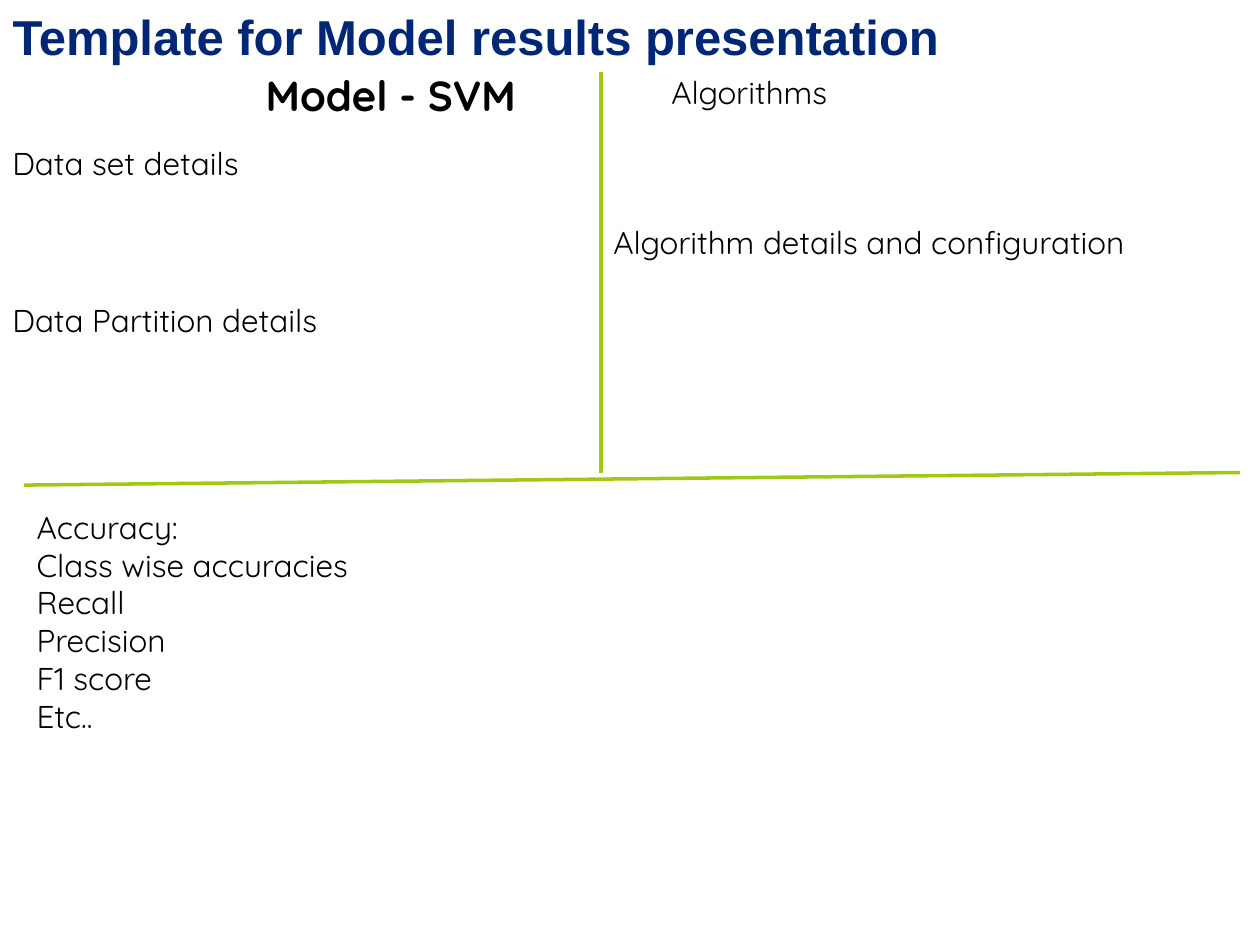
"""Build a one-slide template for presenting model results."""
from dataclasses import dataclass

from lxml.etree import SubElement
from pptx import Presentation
from pptx.dml.color import RGBColor
from pptx.enum.shapes import MSO_CONNECTOR
from pptx.enum.text import MSO_ANCHOR, MSO_AUTO_SIZE, PP_ALIGN
from pptx.oxml.ns import qn
from pptx.shapes.base import BaseShape
from pptx.slide import Slide
from pptx.util import Inches, Pt

COLORS = {"heading": "002776", "text": "000000", "divider": "A2C816"}


@dataclass(frozen=True)
class Label:
    text: str
    left: float
    top: float
    width: float
    height: float = 0.4
    size: int = 18
    bold: bool = False


@dataclass(frozen=True)
class Divider:
    start: tuple[float, float]
    end: tuple[float, float]


LABELS = (
    Label("Data set details", 0, 1.09, 2.16),
    Label("Data Partition details", 0, 2.34, 2.82),
    Label("Algorithms", 5.23, 0.53, 1.66),
    Label("Algorithm details and configuration", 4.77, 1.72, 5.23),
    Label("Model - SVM", 2.01, 0.5, 2.65, height=0.5, size=24, bold=True),
)
DIVIDERS = (
    Divider((4.77, 0.57), (4.77, 3.75)),
    Divider((0.19, 3.85), (9.84, 3.75)),
)
METRICS = ("Accuracy:", "Class wise accuracies", "Recall", "Precision", "F1 score", "Etc..")


def place(shape: BaseShape, left: float, top: float, width: float, height: float) -> None:
    shape.left, shape.top = Inches(left), Inches(top)
    shape.width, shape.height = Inches(width), Inches(height)


def write(shape: BaseShape, *lines: str, size: int = 18, font: str = "Quicksand",
          color: str = "text", bold: bool = False) -> None:
    frame = shape.text_frame
    frame.text = "\n".join(lines)
    frame.word_wrap = True
    frame.auto_size = MSO_AUTO_SIZE.NONE
    frame.vertical_anchor = MSO_ANCHOR.TOP
    for paragraph in frame.paragraphs:
        paragraph.alignment = PP_ALIGN.LEFT
        paragraph.space_before = Pt(0)
        for run in paragraph.runs:
            run.font.size = Pt(size)
            run.font.name = font
            run.font.bold = bold
            run.font.color.rgb = RGBColor.from_string(COLORS[color])


def remove_bullets(shape: BaseShape) -> None:
    for paragraph in shape.text_frame.paragraphs:
        properties = paragraph._p.get_or_add_pPr()
        properties.set("marL", "0")
        properties.set("indent", "0")
        SubElement(properties, qn("a:buNone"))


def draw_label(slide: Slide, label: Label) -> None:
    box = slide.shapes.add_textbox(Inches(label.left), Inches(label.top),
                                   Inches(label.width), Inches(label.height))
    write(box, label.text, size=label.size, bold=label.bold)


def draw_divider(slide: Slide, divider: Divider) -> None:
    line = slide.shapes.add_connector(
        MSO_CONNECTOR.STRAIGHT, *map(Inches, divider.start + divider.end))
    line.line.width = Pt(2)
    line.line.color.rgb = RGBColor.from_string(COLORS["divider"])
    SubElement(line._element.spPr, qn("a:effectLst"))


def main() -> None:
    presentation = Presentation()
    presentation.slide_width, presentation.slide_height = Inches(10), Inches(7.5)
    slide = presentation.slides.add_slide(presentation.slide_layouts[1])

    heading, metrics = slide.placeholders
    place(heading, 0, 0, 8.49, 0.57)
    write(heading, "Template for Model results presentation",
          size=28, font="Arial", color="heading", bold=True)
    place(metrics, 0.19, 3.98, 5.71, 2.22)
    write(metrics, *METRICS)
    remove_bullets(metrics)

    for divider in DIVIDERS:
        draw_divider(slide, divider)
    for label in LABELS:
        draw_label(slide, label)
    presentation.save("out.pptx")


if __name__ == "__main__":
    main()
